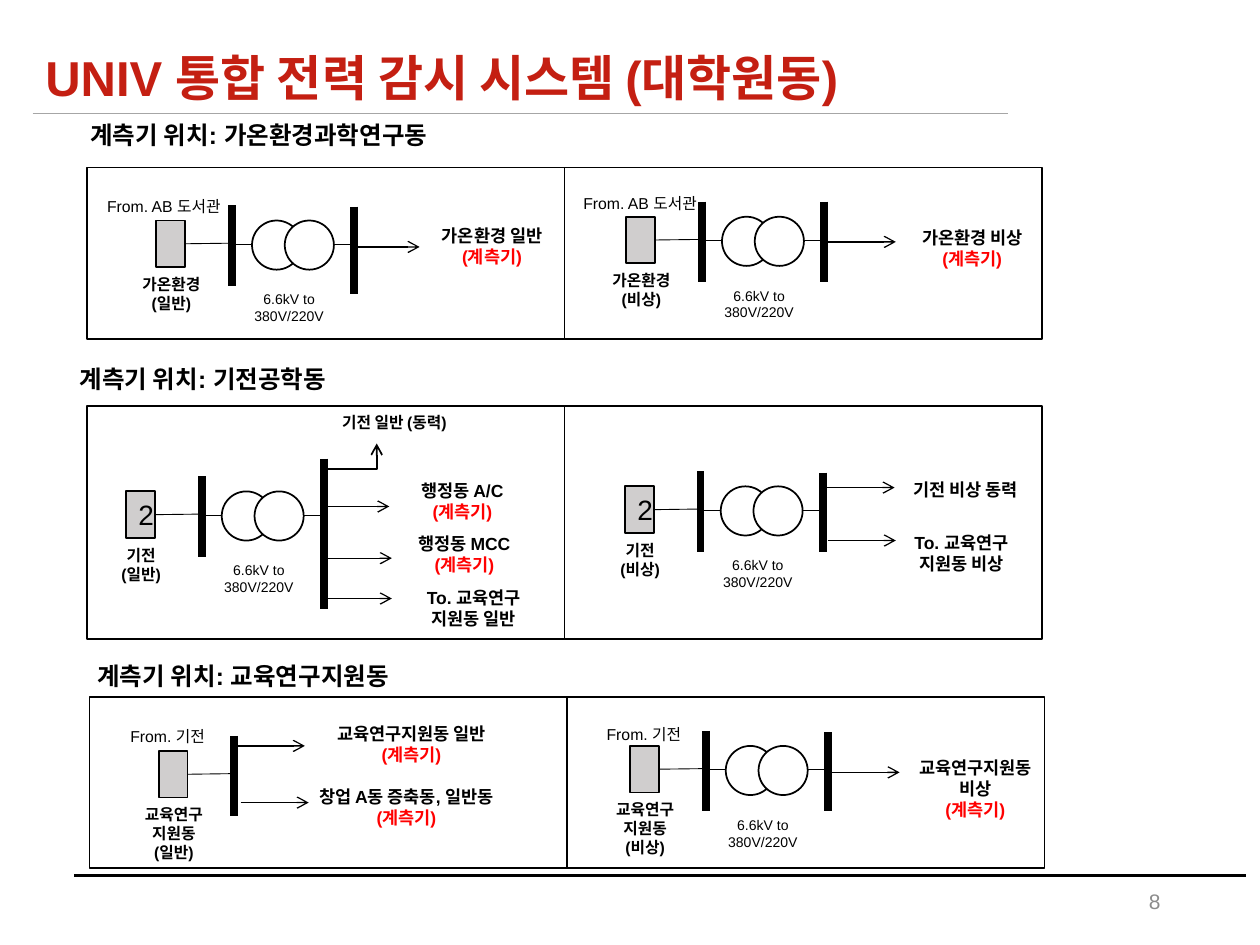
from lxml.etree import SubElement
from pptx import Presentation
from pptx.dml.color import RGBColor
from pptx.enum.shapes import MSO_CONNECTOR, MSO_SHAPE
from pptx.enum.text import MSO_ANCHOR, MSO_AUTO_SIZE, PP_ALIGN
from pptx.oxml.ns import qn
from pptx.util import Inches, Pt

BLACK = RGBColor(0x00, 0x00, 0x00)
WHITE = RGBColor(0xFF, 0xFF, 0xFF)
RED = RGBColor(0xFF, 0x00, 0x00)
TITLE_RED = RGBColor(0xC4, 0x1F, 0x12)
PAGE_GRAY = RGBColor(0x8C, 0x8C, 0x8C)
RULE_GRAY = RGBColor(0xA6, 0xA6, 0xA6)
BOX_GRAY = RGBColor(0xD0, 0xCE, 0xCE)
METER = "(계측기)"

prs = Presentation()
prs.slide_width, prs.slide_height = Inches(10), Inches(7.5)
s = prs.slides.add_slide(prs.slide_layouts[5])


def write(text, at=None, shape=None, size=10, bold=True, color=BLACK,
          align=PP_ALIGN.CENTER, anchor=MSO_ANCHOR.TOP, wrap=False):
    """Write text into the given shape, or a new text box; meter lines turn red."""
    sp = shape or s.shapes.add_textbox(*map(Inches, at))
    tf = sp.text_frame
    tf.auto_size = MSO_AUTO_SIZE.NONE
    tf.word_wrap = wrap
    tf.vertical_anchor = anchor
    for i, content in enumerate(text.split("\n")):
        p = tf.paragraphs[0] if i == 0 else tf.add_paragraph()
        p.alignment = align
        r = p.add_run()
        r.text = content
        r.font.name = "Arial"
        r.font.size = Pt(size)
        r.font.bold = bold
        r.font.color.rgb = RED if content == METER else color


def line(x1, y1, x2, y2, width=0.5, color=BLACK, arrow=False):
    c = s.shapes.add_connector(MSO_CONNECTOR.STRAIGHT, *map(Inches, (x1, y1, x2, y2)))
    c.line.width = Pt(width)
    c.line.color.rgb = color
    spPr = c.element.spPr
    SubElement(spPr, qn("a:effectLst"))
    if arrow:
        SubElement(spPr.find(qn("a:ln")), qn("a:tailEnd"), type="arrow")
    return c


# Title, rules and page number
title = s.shapes.title
title.left, title.top, title.width, title.height = map(Inches, (0.26, 0.33, 8.84, 0.57))
write("UNIV 통합 전력 감시 시스템 (대학원동)", shape=title, size=28, color=TITLE_RED,
      align=PP_ALIGN.LEFT, wrap=True)
line(0.26, 0.9, 8, 0.9, color=RULE_GRAY)
line(0.59, 6.95, 9.89, 6.95, width=1.5)
write("8", (7.06, 6.95, 2.25, 0.4), size=12, bold=False, color=PAGE_GRAY,
      align=PP_ALIGN.RIGHT, anchor=MSO_ANCHOR.MIDDLE, wrap=True)

# Section headings, each above a pair of frames
sections = [
    ("가온환경과학연구동", (0.44, 0.9, 3.23, 0.34), 0.69, 1.33, 1.36),
    ("기전공학동", (0.14, 2.84, 2.94, 0.34), 0.69, 3.22, 1.85),
    ("교육연구지원동", (0.46, 5.2, 2.94, 0.34), 0.71, 5.53, 1.36),
]
for name, at, x, y, h in sections:
    write(f"계측기 위치: {name}", at, size=14, wrap=True)
    for left in (x, x + 3.79):
        frame = s.shapes.add_shape(MSO_SHAPE.RECTANGLE, *map(Inches, (left, y, 3.79, h)))
        frame.shadow.inherit = False
        frame.fill.background()
        frame.line.color.rgb = BLACK
        frame.line.width = Pt(1)

# Circuits: meter box corner, box text, label, label width, output bus (top, bottom)
circuits = [
    (1.24, 1.75, "", "가온환경\n(일반)", 0.71, (1.64, 2.33)),
    (4.97, 1.72, "", "가온환경\n(비상)", 0.71, (1.6, 2.24)),
    (1, 3.9, "2", "기전\n(일반)", 0.55, (3.64, 4.83)),
    (4.96, 3.86, "2", "기전\n(비상)", 0.55, (3.75, 4.38)),
    (1.26, 5.96, "", "교육연구\n지원동\n(일반)", 0.71, None),
    (5, 5.92, "", "교육연구\n지원동\n(비상)", 0.71, (5.81, 6.44)),
]
for x, y, count, label, label_w, out_bus in circuits:
    box = s.shapes.add_shape(MSO_SHAPE.RECTANGLE, *map(Inches, (x, y, 0.23, 0.37)))
    box.shadow.inherit = False
    box.fill.solid()
    box.fill.fore_color.rgb = BOX_GRAY
    box.line.color.rgb = BLACK
    box.line.width = Pt(1)
    if count:
        write(count, shape=box, size=16, bold=False, wrap=True)
    feed = line(x + 0.23, y + 0.18, x + 0.6, y + 0.18)
    feed.begin_connect(box, 3)
    line(x + 0.6, y - 0.12, x + 0.6, y + 0.52, width=4.5)
    write(label, (x + 0.12 - label_w / 2, y + 0.38, label_w, 0.4), size=9,
          wrap=label_w < 0.6)
    if out_bus is None:
        continue
    line(x + 0.63, y + 0.19, x + 0.84, y + 0.19)
    line(x + 1.41, y + 0.19, x + 1.57, y + 0.19)
    for coil_x in (x + 0.76, x + 1.02):
        coil = s.shapes.add_shape(MSO_SHAPE.OVAL, *map(Inches, (coil_x, y, 0.39, 0.39)))
        coil.shadow.inherit = False
        coil.fill.solid()
        coil.fill.fore_color.rgb = WHITE
        coil.line.color.rgb = BLACK
        coil.line.width = Pt(1)
    line(x + 1.57, out_bus[0], x + 1.57, out_bus[1], width=4.5)
    write("6.6kV to 380V/220V", (x + 0.5, y + 0.51, 1.11, 0.37), size=8, bold=False,
          wrap=True)

# Outgoing feeders: arrow start, text, text place
feeders = [
    (2.79, 1.96, f"가온환경 일반\n{METER}", (3.36, 1.74, 1.09, 0.44)),
    (6.57, 1.92, f"가온환경 비상\n{METER}", (7.17, 1.75, 1.09, 0.44)),
    (2.55, 4.02, f"행정동 A/C\n{METER}", (3.21, 3.76, 0.92, 0.44)),
    (2.57, 4.43, f"행정동 MCC\n{METER}", (3.19, 4.18, 0.99, 0.44)),
    (2.57, 4.75, "To. 교육연구\n지원동 일반", (3.25, 4.61, 1.02, 0.44)),
    (6.56, 3.87, "기전 비상 동력", (7.09, 3.75, 1.14, 0.27)),
    (6.57, 4.29, "To. 교육연구\n지원동 비상", (7.12, 4.17, 1.02, 0.44)),
    (1.88, 5.92, f"교육연구지원동 일반\n{METER}", (2.51, 5.69, 1.51, 0.44)),
    (1.91, 6.37, f"창업 A동 증축동, 일반동\n{METER}", (2.35, 6.19, 1.75, 0.44)),
    (6.6, 6.13, f"교육연구지원동\n비상\n{METER}", (7.15, 5.96, 1.18, 0.61)),
]
for x, y, text, at in feeders:
    line(x, y, x + 0.54, y, width=0.75, arrow=True)
    write(text, at)

# Feeder that bends upward to the power load
builder = s.shapes.build_freeform(Inches(2.59), Inches(3.72))
builder.add_line_segments([(Inches(2.99), Inches(3.72)), (Inches(2.99), Inches(3.52))],
                          close=False)
bend = builder.convert_to_shape()
bend.shadow.inherit = False
bend.fill.background()
bend.line.color.rgb = BLACK
bend.line.width = Pt(1)
SubElement(bend.element.spPr.find(qn("a:ln")), qn("a:tailEnd"), type="arrow")
write("기전 일반 (동력)", (2.56, 3.23, 1.14, 0.25), size=9)

# Supply sources
for text, at in [
    ("From. AB 도서관", (0.73, 1.51, 1.14, 0.25)),
    ("From. AB 도서관", (4.51, 1.49, 1.14, 0.25)),
    ("From. 기전", (0.92, 5.72, 0.82, 0.25)),
    ("From. 기전", (4.7, 5.7, 0.82, 0.25)),
]:
    write(text, at, size=9, bold=False)

prs.save("out.pptx")
